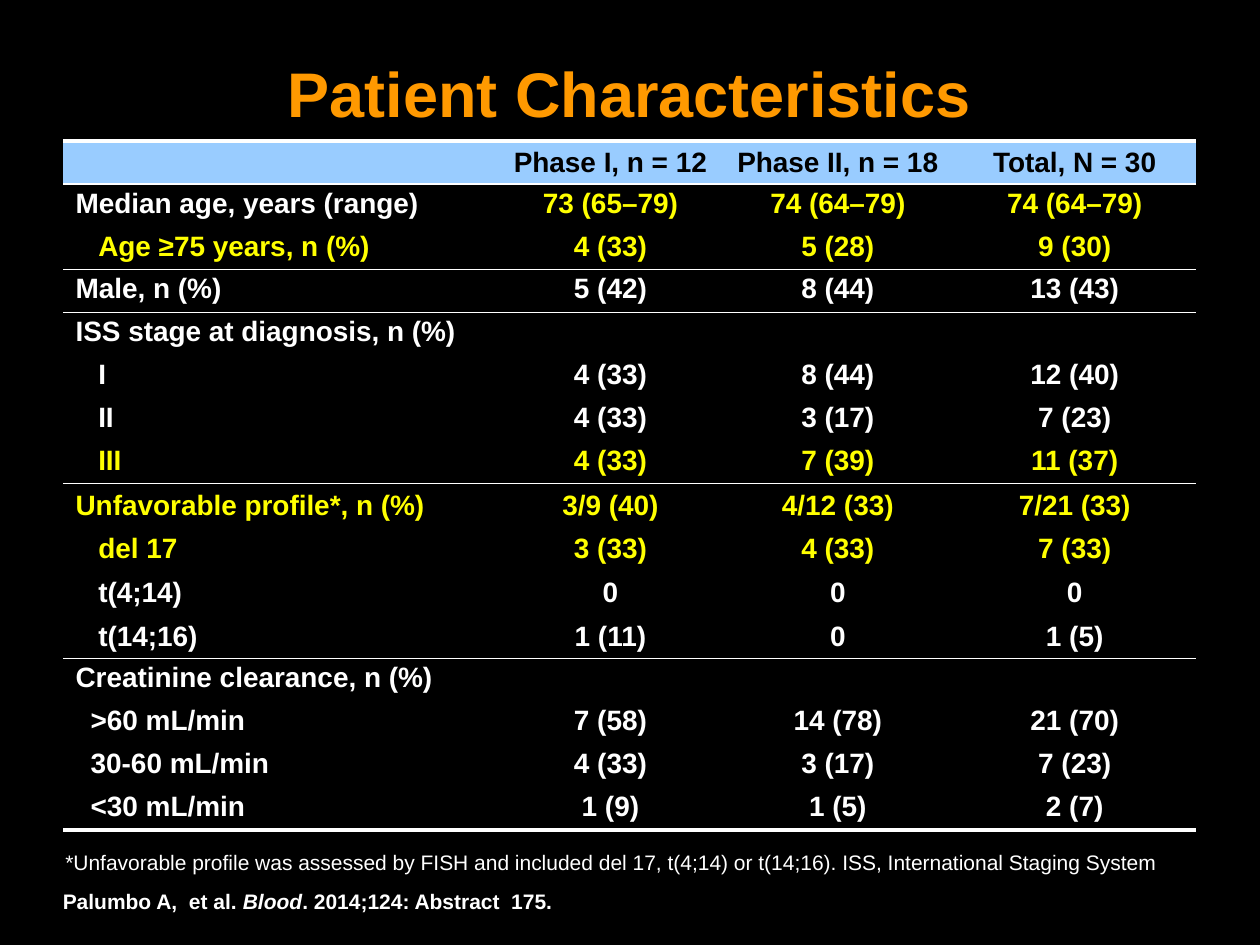
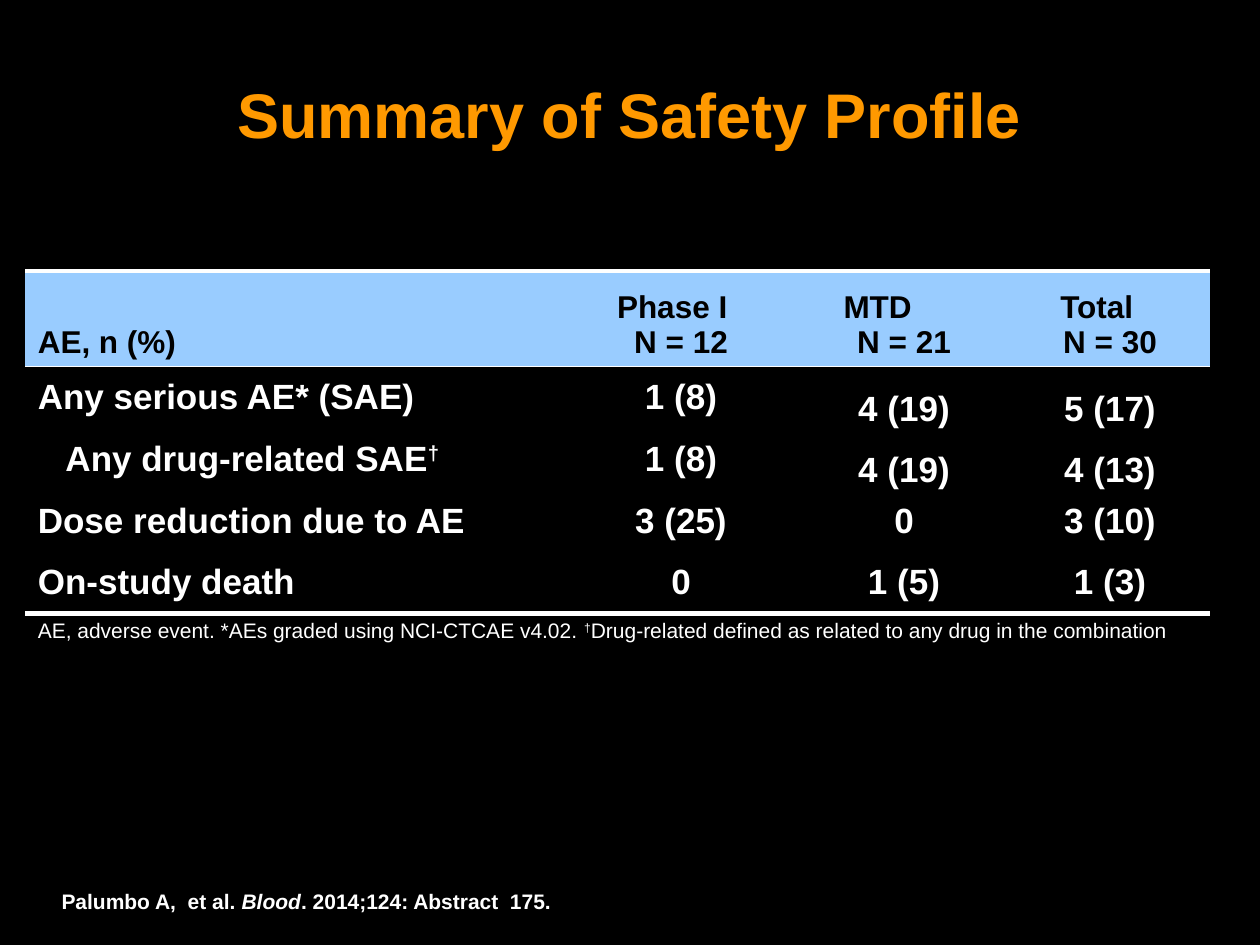
"""Build two clinical trial slides: patient characteristics and safety profile."""
import pptx
import pptx.dml.color
import pptx.enum.text
import pptx.oxml.ns
import pptx.util
from lxml import etree

Inches, Pt = pptx.util.Inches, pptx.util.Pt
RGBColor = pptx.dml.color.RGBColor
ALIGN, ANCHOR = pptx.enum.text.PP_ALIGN, pptx.enum.text.MSO_ANCHOR
qn = pptx.oxml.ns.qn

BLACK = RGBColor(0x00, 0x00, 0x00)
WHITE = RGBColor(0xFF, 0xFF, 0xFF)
YELLOW = RGBColor(0xFF, 0xFF, 0x00)
ORANGE = RGBColor(0xFF, 0x99, 0x00)
HEADER_BLUE = RGBColor(0x99, 0xCC, 0xFF)
FONT = "Arial"
NO_GRID_STYLE = "{2D5ABB26-0587-4C30-8999-92F81FD0307C}"
PAD_X, PAD_Y = 0.1, 0.05

CITATION = [("Palumbo A,  et al. ", ""), ("Blood", "italic"),
            (". 2014;124: Abstract  175.", "")]

PATIENT_TITLE = "Patient Characteristics"
PATIENT_HEADER = ["", "Phase I, n = 12", "Phase II, n = 18", "Total, N = 30"]
PATIENT_COLS = [3.46, 1.77, 1.84, 1.92]
PATIENT_SECTIONS = [
    {"indent": 0.18, "spacing": 0.85, "rows": [
        ("Median age, years (range)", ["73 (65–79)", "74 (64–79)", "74 (64–79)"], WHITE, YELLOW),
        ("Age ≥75 years, n (%)", ["4 (33)", "5 (28)", "9 (30)"], YELLOW, YELLOW)]},
    {"indent": 0, "spacing": 0.85, "rows": [
        ("Male, n (%)", ["5 (42)", "8 (44)", "13 (43)"], WHITE, WHITE)]},
    {"indent": 0.18, "spacing": 0.85, "rows": [
        ("ISS stage at diagnosis, n (%)", ["", "", ""], WHITE, WHITE),
        ("I", ["4 (33)", "8 (44)", "12 (40)"], WHITE, WHITE),
        ("II", ["4 (33)", "3 (17)", "7 (23)"], WHITE, WHITE),
        ("III", ["4 (33)", "7 (39)", "11 (37)"], YELLOW, YELLOW)]},
    {"indent": 0.18, "spacing": 1.0, "rows": [
        ("Unfavorable profile*, n (%)", ["3/9 (40)", "4/12 (33)", "7/21 (33)"], YELLOW, YELLOW),
        ("del 17", ["3 (33)", "4 (33)", "7 (33)"], YELLOW, YELLOW),
        ("t(4;14)", ["0", "0", "0"], WHITE, WHITE),
        ("t(14;16)", ["1 (11)", "0", "1 (5)"], WHITE, WHITE)]},
    {"indent": 0.12, "spacing": 0.85, "rows": [
        ("Creatinine clearance, n (%)", ["", "", ""], WHITE, WHITE),
        (">60 mL/min", ["7 (58)", "14 (78)", "21 (70)"], WHITE, WHITE),
        ("30-60 mL/min", ["4 (33)", "3 (17)", "7 (23)"], WHITE, WHITE),
        ("<30 mL/min", ["1 (9)", "1 (5)", "2 (7)"], WHITE, WHITE)]},
]
PATIENT_NOTE = [("*Unfavorable profile was assessed by FISH and included del 17, "
                 "t(4;14) or t(14;16). ISS, International Staging System", "")]

SAFETY_TITLE = "Summary of Safety Profile"
SAFETY_COLS = [4.28, 1.85, 1.69, 1.58]
SAFETY_ROW_HEIGHTS = [0.76, 0.49, 0.49, 0.49, 0.49, 0.4]
SAFETY_HEADER = [("AE, n (%)", 0), ("Phase I\vN = 12", 0.14),
                 ("MTD\vN = 21", 0.42), ("Total\vN = 30", 0.21)]
SAFETY_ROWS = [
    ([("Any serious AE* (SAE)", "")], ["1 (8)", "4 (19)", "5 (17)"], 0),
    ([("Any drug-related SAE", ""), ("†", "super")], ["1 (8)", "4 (19)", "4 (13)"], 0.22),
    ([("Dose reduction due to AE", "")], ["3 (25)", "0", "3 (10)"], 0),
    ([("On-study death", "")], ["0", "1 (5)", "1 (3)"], 0),
]
BOTTOM_ALIGNED = {(1, 2), (1, 3), (2, 2), (2, 3)}
SAFETY_NOTE = [("AE, adverse event. *AEs graded using NCI-CTCAE v4.02. ", ""), ("†", "super"),
               ("Drug-related defined as related to any drug in the combination", "")]


def style_runs(p, size, color, bold):
    for r in p.runs:
        r.font.name, r.font.size, r.font.bold = FONT, Pt(size), bold
        r.font.color.rgb = color


def write_pieces(p, pieces, size, color=WHITE, bold=False):
    for text, effect in pieces:
        r = p.add_run()
        r.text = text
        if effect == "italic":
            r.font.italic = True
        elif effect == "super":
            r.font._element.set("baseline", "30000")
    style_runs(p, size, color, bold)


def add_slide(prs, title, top):
    s = prs.slides.add_slide(prs.slide_layouts[5])
    sp = s.shapes.title
    sp.left, sp.top, sp.width, sp.height = (Inches(v) for v in (0.5, top, 8.99, 1.12))
    tf = sp.text_frame
    tf.text = title
    tf.auto_size = pptx.enum.text.MSO_AUTO_SIZE.NONE
    tf.vertical_anchor = ANCHOR.MIDDLE
    tf.margin_left = tf.margin_right = tf.margin_top = tf.margin_bottom = Inches(0.04)
    tf.paragraphs[0].alignment = ALIGN.CENTER
    style_runs(tf.paragraphs[0], 36, ORANGE, True)
    return s


def add_note(s, left, top, width, pieces, bold=False):
    tf = s.shapes.add_textbox(Inches(left), Inches(top), Inches(width), Inches(0.3)).text_frame
    tf.word_wrap = True
    write_pieces(tf.paragraphs[0], pieces, 12, bold=bold)


def add_table(s, left, top, cols, heights):
    sp = s.shapes.add_table(len(heights), len(cols), Inches(left), Inches(top),
                            Inches(sum(cols)), Inches(sum(heights)))
    table = sp.table
    table.first_row = table.horz_banding = False
    table._tbl.tblPr.find(qn("a:tableStyleId")).text = NO_GRID_STYLE
    for column, width in zip(table.columns, cols):
        column.width = Inches(width)
    for row, height in zip(table.rows, heights):
        row.height = Inches(height)
    return table


def write_cell(cell, pieces, size, color=WHITE, bold=True, align=ALIGN.CENTER,
               anchor=ANCHOR.MIDDLE, indent=0, spacing=1.0, fill=None, pad=(PAD_X, PAD_Y)):
    cell.margin_left, cell.margin_right = Inches(pad[0] + indent), Inches(pad[0])
    cell.margin_top = cell.margin_bottom = Inches(pad[1] if pieces else 0)
    cell.vertical_anchor = anchor
    if fill is None:
        cell.fill.background()
    else:
        cell.fill.solid()
        cell.fill.fore_color.rgb = fill
    p = cell.text_frame.paragraphs[0]
    p.alignment, p.line_spacing = align, spacing
    if isinstance(pieces, str):
        p.text = pieces
        style_runs(p, size, color, bold)
    else:
        write_pieces(p, pieces, size, color, bold)
    if not pieces:
        etree.SubElement(p._p, qn("a:endParaRPr"), sz=str(size * 100))


def add_rules(table, rules):
    for row in range(len(table.rows)):
        for col in range(len(table.columns)):
            tc_pr = table.cell(row, col)._tc.get_or_add_tcPr()
            edges = [("a:lnL", 0), ("a:lnR", 0),
                     ("a:lnT", rules.get(row, 0)), ("a:lnB", rules.get(row + 1, 0))]
            for place, (tag, points) in enumerate(edges):
                ln = etree.Element(qn(tag), w=str(Pt(points)))
                if points:
                    fill = etree.SubElement(ln, qn("a:solidFill"))
                    etree.SubElement(fill, qn("a:srgbClr"), val=str(WHITE))
                else:
                    etree.SubElement(ln, qn("a:noFill"))
                tc_pr.insert(place, ln)


def build_patients(prs):
    s = add_slide(prs, PATIENT_TITLE, 0.17)
    row_count = 1 + sum(len(section["rows"]) for section in PATIENT_SECTIONS)
    table = add_table(s, 0.5, 1.12, PATIENT_COLS, [0.34] * row_count)
    for col, text in enumerate(PATIENT_HEADER):
        write_cell(table.cell(0, col), text, 16, BLACK, anchor=ANCHOR.BOTTOM,
                   spacing=0.85, fill=HEADER_BLUE)
    rules, row = {0: 2.25}, 1
    for section in PATIENT_SECTIONS:
        rules[row] = 1
        spacing = section["spacing"]
        for place, (label, values, label_color, value_color) in enumerate(section["rows"]):
            write_cell(table.cell(row, 0), label, 16, label_color, align=ALIGN.LEFT,
                       indent=section["indent"] if place else 0, spacing=spacing)
            for col, value in enumerate(values, 1):
                write_cell(table.cell(row, col), value, 16, value_color, spacing=spacing)
            row += 1
    rules[row] = 2.25
    add_rules(table, rules)
    add_note(s, 0.42, 6.69, 9.02, PATIENT_NOTE)
    add_note(s, 0.4, 7, 6.26, CITATION, bold=True)


def build_safety(prs):
    s = add_slide(prs, SAFETY_TITLE, 0.34)
    table = add_table(s, 0.2, 2.15, SAFETY_COLS, SAFETY_ROW_HEIGHTS)
    for col, (text, hang) in enumerate(SAFETY_HEADER):
        cell = table.cell(0, col)
        write_cell(cell, text, 18, BLACK, align=ALIGN.CENTER if col else ALIGN.LEFT,
                   anchor=ANCHOR.BOTTOM, fill=HEADER_BLUE)
        if hang:
            cell.margin_left, cell.margin_right = 0, Inches(hang)
            p_pr = cell.text_frame.paragraphs[0]._p.get_or_add_pPr()
            p_pr.set("marL", str(Inches(hang)))
            p_pr.set("indent", str(-Inches(hang)))
    for row, (label, values, indent) in enumerate(SAFETY_ROWS, 1):
        write_cell(table.cell(row, 0), label, 20, align=ALIGN.LEFT, indent=indent)
        for col, value in enumerate(values, 1):
            low = (row, col) in BOTTOM_ALIGNED
            write_cell(table.cell(row, col), value, 20,
                       anchor=ANCHOR.BOTTOM if low else ANCHOR.MIDDLE,
                       pad=(0, 0) if low else (PAD_X, PAD_Y))
    note_row = len(SAFETY_ROWS) + 1
    note = table.cell(note_row, 0)
    note.merge(table.cell(note_row, len(SAFETY_COLS) - 1))
    write_cell(note, SAFETY_NOTE, 12, bold=False, align=ALIGN.LEFT, anchor=ANCHOR.TOP)
    add_rules(table, {0: 3, 1: 1, note_row: 3})
    add_note(s, 0.39, 7, 6.26, CITATION, bold=True)


def main():
    prs = pptx.Presentation()
    prs.slide_width, prs.slide_height = Inches(10), Inches(7.5)
    background = prs.slide_master.background.fill
    background.solid()
    background.fore_color.rgb = BLACK
    build_patients(prs)
    build_safety(prs)
    prs.save("out.pptx")


if __name__ == "__main__":
    main()
